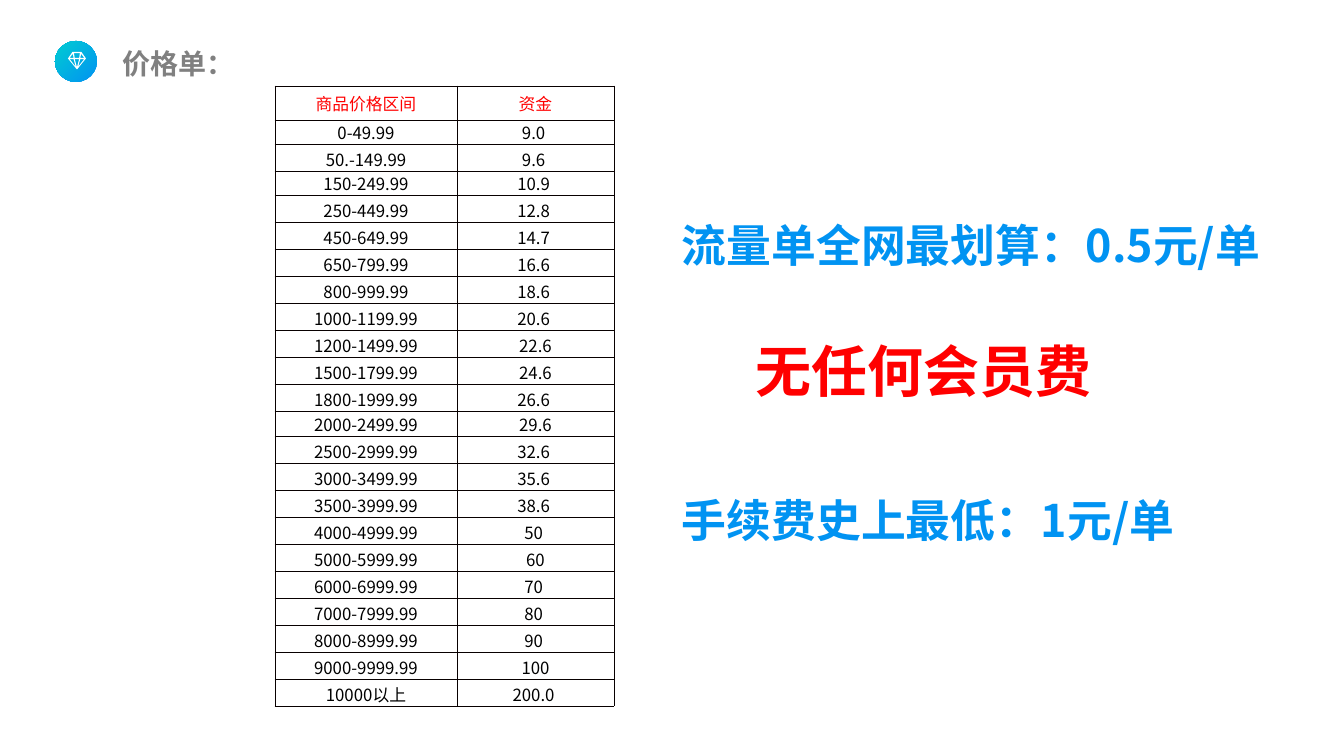
from lxml.etree import SubElement
from pptx import Presentation
from pptx.dml.color import RGBColor
from pptx.enum.shapes import MSO_SHAPE as Shape
from pptx.enum.text import MSO_ANCHOR as Anchor, MSO_AUTO_SIZE as AutoSize, PP_ALIGN as Align
from pptx.oxml.ns import qn
from pptx.util import Emu, Pt

# Content
PRICES = [
    ("商品价格区间", "资金"),
    ("0-49.99", "9.0 "),
    ("50.-149.99", "9.6 "),
    ("150-249.99", "10.9 "),
    ("250-449.99", "12.8 "),
    ("450-649.99", "14.7 "),
    ("650-799.99", "16.6 "),
    ("800-999.99", "18.6 "),
    ("1000-1199.99", "20.6 "),
    ("1200-1499.99", "22.6"),
    ("1500-1799.99", "24.6"),
    ("1800-1999.99", "26.6 "),
    ("2000-2499.99", "29.6"),
    ("2500-2999.99", "32.6 "),
    ("3000-3499.99", "35.6 "),
    ("3500-3999.99", "38.6 "),
    ("4000-4999.99", "50 "),
    ("5000-5999.99", "60"),
    ("6000-6999.99", "70 "),
    ("7000-7999.99", "80 "),
    ("8000-8999.99", "90 "),
    ("9000-9999.99", "100"),
    ("10000以上", "200.0 "),
]

FONT = "Noto Sans CJK SC"
BLUE = RGBColor(0x01, 0x93, 0xF2)
TEAL = RGBColor(0x01, 0xCC, 0xD2)
RED = RGBColor(0xFF, 0x00, 0x00)
GRAY = RGBColor(0x80, 0x80, 0x80)
BLACK = RGBColor(0x00, 0x00, 0x00)
WHITE = RGBColor(0xFF, 0xFF, 0xFF)
BORDER = RGBColor(0x08, 0x00, 0x00)

# Text, left, top, width, height in px, size in pt, colour
HEADLINES = [
    ("价格单：", 113, 42, 305, 43, 20, GRAY),
    ("无任何会员费", 746, 332, 363, 78, 40, RED),
    ("手续费史上最低：1元/单", 672, 488, 686, 65, 32, BLUE),
    ("流量单全网最划算：0.5元/单", 672, 213, 686, 65, 32, BLUE),
]

# Price table, px
TABLE_LEFT, TABLE_TOP = 275, 86
COLUMN_WIDTHS = (182, 157)
HEADER_HEIGHT, ROW_HEIGHT, SHORT_HEIGHT = 34, 27, 21
SHORT_ROWS = (1, 3, 12)

# Badge, px; the diamond is drawn in tenths of a px
BADGE = (55, 41, 42, 41)
DIAMOND_LEFT, DIAMOND_TOP, DIAMOND_WIDTH = 68, 52, 180
OUTLINE = [(45, 0), (135, 0), (180, 65), (90, 175), (0, 65)]
MIDDLE_FACETS = [
    [(60, 12), (120, 12), (112, 60), (68, 60)],
    [(68, 72), (112, 72), (90, 152)],
]
LEFT_FACETS = [
    [(48, 18), (57, 60), (16, 60)],
    [(18, 72), (57, 72), (78, 148)],
]

PX = 914400 / 100.8


def px(length):
    return Emu(round(length * PX))


def style(paragraph, size, color, bold=False):
    for run in paragraph.runs:
        run.font.name, run.font.size = FONT, Pt(size)
        run.font.color.rgb, run.font.bold = color, bold
        SubElement(run.font._element, qn("a:ea"), typeface=FONT)


def add_borders(cell):
    properties = cell._tc.get_or_add_tcPr()
    for index, side in enumerate(("a:lnL", "a:lnR", "a:lnT", "a:lnB")):
        line = properties.makeelement(qn(side), {"w": str(Pt(0.5))})
        fill = SubElement(line, qn("a:solidFill"))
        SubElement(fill, qn("a:srgbClr"), val=str(BORDER))
        properties.insert(index, line)


prs = Presentation()
prs.slide_width, prs.slide_height = px(1344), px(756)
slide = prs.slides.add_slide(prs.slide_layouts[6])
shapes = slide.shapes

# Price table
heights = [HEADER_HEIGHT] + [
    SHORT_HEIGHT if row in SHORT_ROWS else ROW_HEIGHT for row in range(1, len(PRICES))
]
prices = shapes.add_table(
    len(PRICES), len(COLUMN_WIDTHS), px(TABLE_LEFT), px(TABLE_TOP),
    px(sum(COLUMN_WIDTHS)), px(sum(heights)),
).table
prices.first_row = prices.horz_banding = False
for column, width in zip(prices.columns, COLUMN_WIDTHS):
    column.width = px(width)
for row, (texts, height) in enumerate(zip(PRICES, heights)):
    prices.rows[row].height = px(height)
    for cell, text in zip(prices.rows[row].cells, texts):
        cell.text_frame.text = text
        cell.margin_left = cell.margin_right = px(7)
        cell.margin_top = cell.margin_bottom = 0
        cell.vertical_anchor = Anchor.BOTTOM if row else Anchor.MIDDLE
        cell.fill.background()
        add_borders(cell)
        paragraph = cell.text_frame.paragraphs[0]
        paragraph.alignment = Align.CENTER
        style(paragraph, 12, BLACK if row else RED)

# Round badge
badge = shapes.add_shape(Shape.OVAL, *map(px, BADGE))
badge.shadow.inherit = False
badge.line.fill.background()
badge.fill.gradient()
badge.fill.gradient_angle = 135
for stop, color, position in zip(badge.fill.gradient_stops, (BLUE, TEAL), (0, 1)):
    stop.color.rgb, stop.position = color, position

# Diamond with its facets cut out
right_facets = [[(DIAMOND_WIDTH - x, y) for x, y in facet] for facet in LEFT_FACETS]
builder = shapes.build_freeform(*OUTLINE[0], scale=PX / 10)
builder.add_line_segments(OUTLINE[1:], close=True)
for facet in MIDDLE_FACETS + LEFT_FACETS + right_facets:
    builder.move_to(*facet[0])
    builder.add_line_segments(facet[1:], close=True)
diamond = builder.convert_to_shape(px(DIAMOND_LEFT), px(DIAMOND_TOP))
diamond.shadow.inherit = False
diamond.line.fill.background()
diamond.fill.solid()
diamond.fill.fore_color.rgb = WHITE

# Title and offers
for text, left, top, width, height, size, color in HEADLINES:
    frame = shapes.add_textbox(px(left), px(top), px(width), px(height)).text_frame
    frame.word_wrap = True
    frame.auto_size = AutoSize.SHAPE_TO_FIT_TEXT
    frame.text = text
    style(frame.paragraphs[0], size, color, bold=True)

prs.save("out.pptx")
